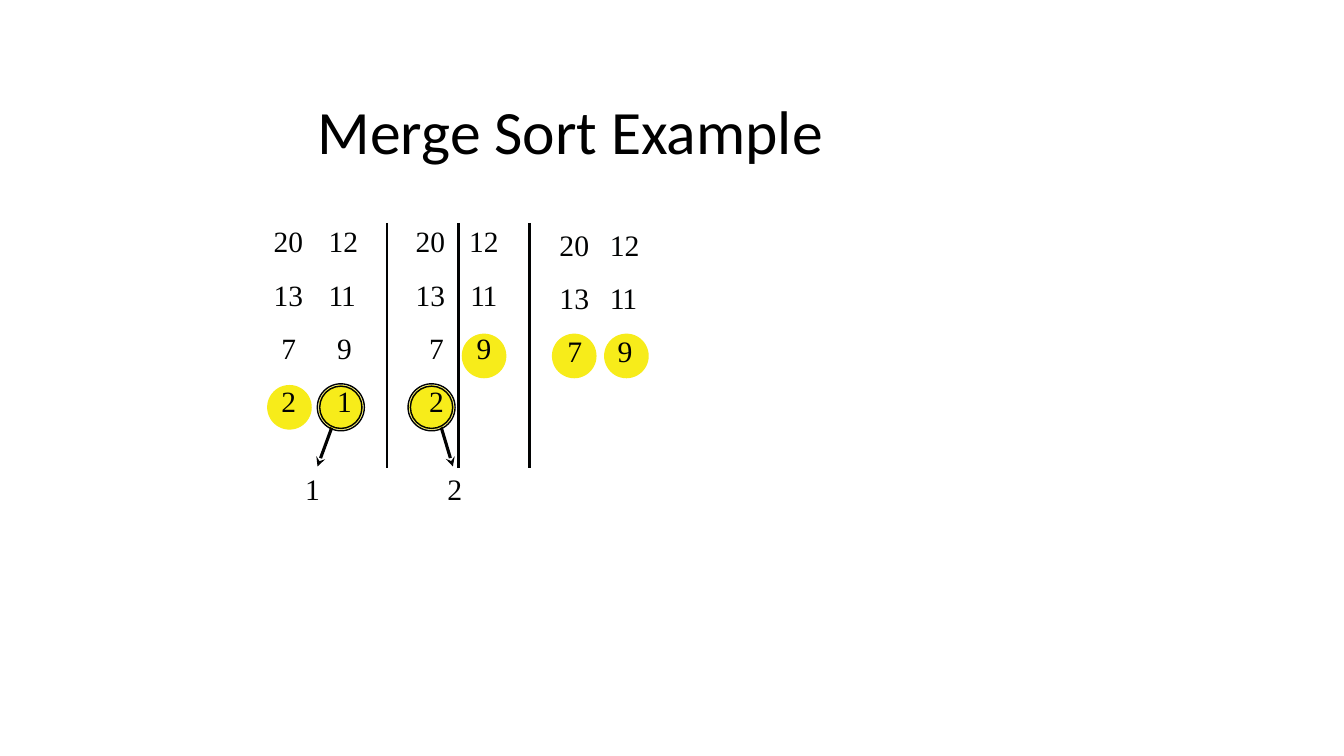
import pptx
import pptx.util
import pptx.dml.color
import pptx.enum.shapes
import pptx.enum.text
import pptx.oxml.ns
import lxml.etree

Pt = pptx.util.Pt
ALIGN = pptx.enum.text.PP_ALIGN
KINDS = pptx.enum.shapes
HUES = {"ink": "010202", "title": "000000", "disc": "F7EC1A"}
SERIF = "Times New Roman"
DISC = 31.9
PLAIN = "{2D5ABB26-0587-4C30-8999-92F81FD0307C}"


def hue(name):
    return pptx.dml.color.RGBColor.from_string(HUES[name])


def add_tag(parent, tag, **attrs):
    node = lxml.etree.SubElement(parent, pptx.oxml.ns.qn(tag))
    for key, value in attrs.items():
        node.set(key, str(value))
    return node


def add_run(para, text, size, font=SERIF, color="ink", space=0):
    run = para.add_run()
    run.text = text
    run.font.size = Pt(size)
    run.font.name = font
    run.font.color.rgb = hue(color)
    if space:
        run.font._element.set("spc", str(round(space * 100)))


def set_para(para, before, indent=0, align=ALIGN.LEFT, tab=None):
    para.space_before = Pt(before)
    para.alignment = align
    props = para._p.get_or_add_pPr()
    props.set("marL", str(Pt(indent)))
    props.set("indent", "0")
    if tab:
        stops = add_tag(props, "a:tabLst")
        add_tag(stops, "a:tab", pos=Pt(tab), algn="l")


def set_frame(frame, top):
    frame.margin_left = frame.margin_right = frame.margin_bottom = 0
    frame.margin_top = Pt(top)
    frame.word_wrap = True
    frame.auto_size = pptx.enum.text.MSO_AUTO_SIZE.SHAPE_TO_FIT_TEXT


def add_box(slide, box, top):
    frame = slide.shapes.add_textbox(*map(Pt, box)).text_frame
    set_frame(frame, top)
    return frame


def add_disc(slide, left, top, size=DISC, ring=False):
    disc = slide.shapes.add_shape(KINDS.MSO_SHAPE.OVAL, Pt(left), Pt(top), Pt(size), Pt(size))
    disc.shadow.inherit = False
    if ring:
        disc.fill.background()
        disc.line.color.rgb = hue("ink")
        disc.line.width = Pt(1)
    else:
        disc.fill.solid()
        disc.fill.fore_color.rgb = hue("disc")
        disc.line.fill.background()


def add_arrow(slide, start, end):
    line = slide.shapes.add_connector(KINDS.MSO_CONNECTOR.STRAIGHT, *map(Pt, start + end))
    line.line.color.rgb = hue("ink")
    line.line.width = Pt(2.25)
    add_tag(line.line._get_or_add_ln(), "a:tailEnd", type="stealth", w="med", len="med")
    add_tag(line._element.spPr, "a:effectLst")


# Title
def draw_title(slide, box):
    title = slide.shapes.title
    title.left, title.top, title.width, title.height = map(Pt, box)
    frame = title.text_frame
    set_frame(frame, 0.9)
    frame.vertical_anchor = pptx.enum.text.MSO_ANCHOR.MIDDLE
    para = frame.paragraphs[0]
    set_para(para, 0.9, 0.9)
    add_run(para, "Merge Sort Example", 44, "Calibri", "title")


# Two lists left to merge, next heads marked
def draw_pair(slide, box):
    left, top, width, height = box
    for shift in (0, 37.3):
        add_disc(slide, left - 4.7 + shift, top + 90, DISC)
    frame = add_box(slide, box, 13.4)
    rows = [("20", "12", 0, 0.7, 38.9), ("13", "11", -0.8, 0.7, 38.9), ("7", "9", 0, 6.3, 44.6)]
    for i, (first, second, space, indent, tab) in enumerate(rows):
        para = frame.add_paragraph() if i else frame.paragraphs[0]
        set_para(para, 12.5 if i else 13.4, indent, tab=tab)
        add_run(para, first + "\t", 21.2)
        add_run(para, second, 21.2, space=space)


# Smallest head: ringed disc, arrow and the value taken
def draw_pick(slide, box, value, start, end, shift):
    left, top, size, _ = box
    add_arrow(slide, (left + start[0], top + start[1]), (left + end[0], top + end[1]))
    add_disc(slide, left, top, size)
    for ring in (33.6, 30.2):
        gap = (size - ring) / 2
        add_disc(slide, left + gap, top + gap, ring, True)
    frame = add_box(slide, (left + shift, top + 60.3, 12.2, 26.6), 0.9)
    set_para(frame.paragraphs[0], 0.9, 0.7)
    add_run(frame.paragraphs[0], value, 21.2)


# Table of the first two merge steps
def draw_steps(slide, box):
    rows = [[["20"], ["12"], ["20"], ["12"]],
            [["13"], ["11"], ["13"], ["11"]],
            [["7", "2"], ["9", "1"], ["7", "2"], ["9"]]]
    table = slide.shapes.add_table(3, 4, *map(Pt, box)).table
    table.first_row = table.horz_banding = False
    table._tbl.tblPr.find(pptx.oxml.ns.qn("a:tableStyleId")).text = PLAIN
    for col, width in zip(table.columns, (38.2, 51, 51, 51)):
        col.width = Pt(width)
    for row, height in zip(table.rows, (36, 38.2, 100.8)):
        row.height = Pt(height)
    for r, row in enumerate(rows):
        last = r == 2
        looks = [(ALIGN.CENTER if last else ALIGN.RIGHT, 0, 0 if last else 9),
                 (ALIGN.LEFT, 15.5 if last else 9.4, 0),
                 (ALIGN.LEFT, 30.2, 0) if last else (ALIGN.RIGHT, 0, 9.5),
                 (ALIGN.CENTER, 0, 14.4)]
        for c, (lines, (align, indent, right)) in enumerate(zip(row, looks)):
            cell = table.cell(r, c)
            cell.margin_left = cell.margin_bottom = 0
            cell.margin_right = Pt(right)
            cell.margin_top = Pt(5 if r else 2.9)
            cell.fill.background()
            if c:
                add_edge(cell)
            for i, text in enumerate(lines):
                frame = cell.text_frame
                para = frame.add_paragraph() if i else frame.paragraphs[0]
                set_para(para, 14.2 if i else 5.9 if r else 3.6, indent, align)
                add_run(para, text, 21, space=-0.9 if text == "11" else 0)


def add_edge(cell):
    props = cell._tc.get_or_add_tcPr()
    edge = add_tag(props, "a:lnR", w=Pt(2.25))
    add_tag(add_tag(edge, "a:solidFill"), "a:srgbClr", val=HUES["ink"])
    props.insert(0, edge)


deck = pptx.Presentation()
deck.slide_width, deck.slide_height = Pt(960), Pt(540)
slide = deck.slides.add_slide(deck.slide_layouts[5])

draw_title(slide, (226, 65.5, 445, 54))
add_disc(slide, 329.8, 238.3)
draw_pair(slide, (398.9, 148.3, 61.2, 116.6))
add_disc(slide, 190.8, 275)
draw_pick(slide, (227.5, 275, DISC, DISC), "1", (10.8, 26.9), (-0.7, 58.2), -10.3)
draw_pick(slide, (292.3, 275, DISC, DISC), "2", (20.3, 21.6), (31.2, 58.2), 26.5)
draw_steps(slide, (187.2, 159.1, 191.2, 175))
deck.save("out.pptx")
